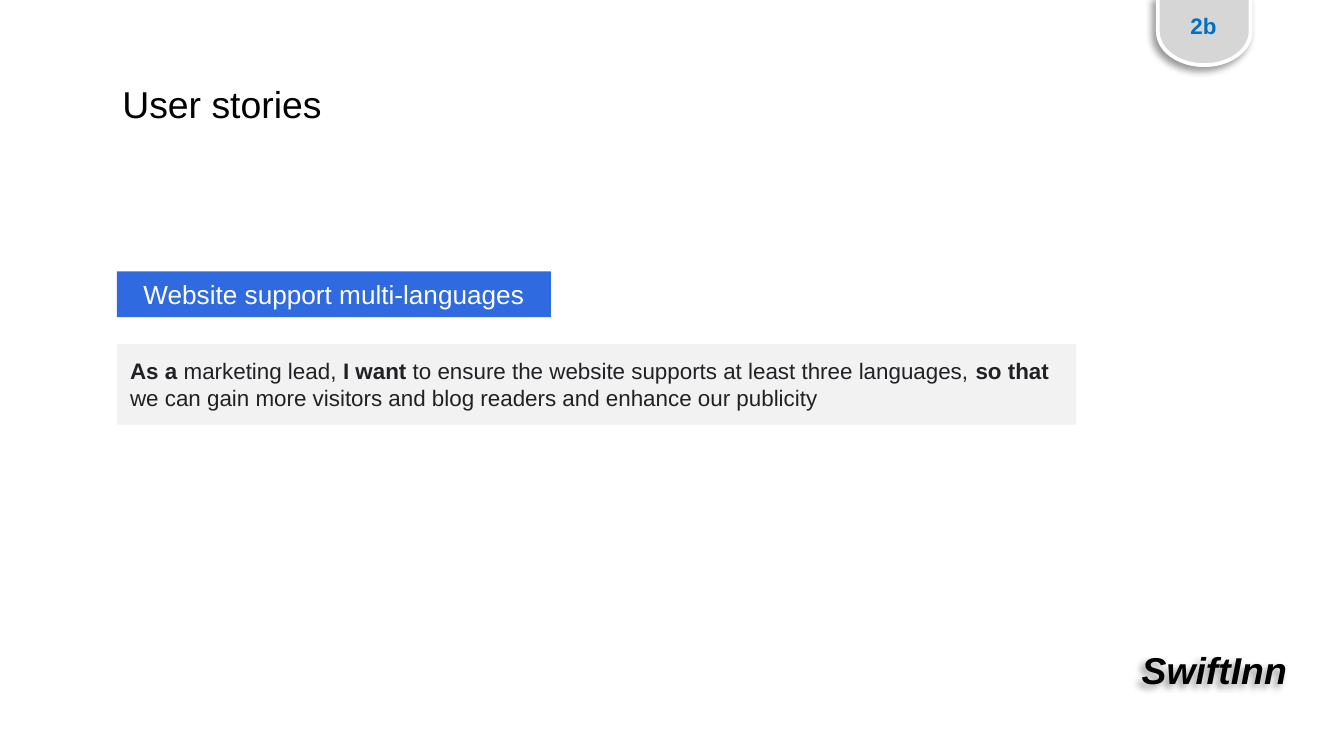
from dataclasses import dataclass
from typing import Optional

from lxml import etree
from pptx import Presentation
from pptx.dml.color import RGBColor
from pptx.enum import shapes, text
from pptx.oxml.ns import qn
from pptx.util import Inches, Pt


@dataclass(frozen=True)
class Theme:
    font: str = "Arial"
    black: str = "000000"
    white: str = "FFFFFF"
    ink: str = "202124"
    panel: str = "F2F2F2"
    accent: str = "2F6AE1"
    tab: str = "D6D6D6"
    number: str = "0070C0"
    large: int = 20
    medium: int = 14
    small: int = 12


THEME = Theme()


@dataclass(frozen=True)
class Run:
    words: str
    bold: bool = False
    italic: bool = False


@dataclass(frozen=True)
class Block:
    box: tuple[float, float, float, float]
    runs: list[Run]
    size: int
    color: str
    fill: Optional[str] = None
    centered: bool = True
    inset: float = 0.1


def place(shape, box: tuple[float, float, float, float]) -> None:
    for side, length in zip(("left", "top", "width", "height"), box):
        setattr(shape, side, Inches(length))


def paint(shape, color: str) -> None:
    shape.fill.solid()
    shape.fill.fore_color.rgb = RGBColor.from_string(color)


def write(shape, block: Block) -> None:
    """Fill the shape's text frame with the block's runs."""
    frame = shape.text_frame
    frame_format = {
        "word_wrap": True,
        "auto_size": text.MSO_AUTO_SIZE.NONE,
        "vertical_anchor": text.MSO_ANCHOR.MIDDLE,
        "margin_left": Inches(0.1),
        "margin_right": Inches(0.1),
        "margin_top": Inches(block.inset),
        "margin_bottom": Inches(block.inset),
    }
    for name, value in frame_format.items():
        setattr(frame, name, value)
    line = frame.paragraphs[0]
    line.alignment = text.PP_ALIGN.CENTER if block.centered else text.PP_ALIGN.LEFT
    for part in block.runs:
        run = line.add_run()
        run.text = part.words
        font_format = {
            "name": THEME.font,
            "size": Pt(block.size),
            "bold": part.bold,
            "italic": part.italic,
        }
        for name, value in font_format.items():
            setattr(run.font, name, value)
        run.font.color.rgb = RGBColor.from_string(block.color)


def draw_block(parent, block: Block):
    """Draw a filled rectangle, or a text box when there is no fill."""
    box = [Inches(length) for length in block.box]
    if block.fill:
        shape = parent.add_shape(shapes.MSO_SHAPE.RECTANGLE, *box)
        shape.shadow.inherit = False
        paint(shape, block.fill)
        shape.line.fill.background()
    else:
        shape = parent.add_textbox(*box)
    write(shape, block)
    return shape


def cast_shadow(shape) -> None:
    """Add a soft shadow towards the lower left."""
    shape.shadow.inherit = False
    effects = shape._element.spPr.find(qn("a:effectLst"))
    shadow = etree.SubElement(
        effects, qn("a:outerShdw"), blurRad=str(Pt(4)), dist=str(Pt(3)),
        dir=str(135 * 60000), algn="tr", rotWithShape="0")
    color = etree.SubElement(shadow, qn("a:srgbClr"), val=THEME.black)
    etree.SubElement(color, qn("a:alpha"), val="40000")


def main() -> None:
    deck = Presentation()
    deck.slide_width = Inches(10)
    deck.slide_height = Inches(10 * 9 / 16)
    slide = deck.slides.add_slide(deck.slide_layouts[5])

    # Title
    heading = Block((0.81, 0.55, 1.7, 0.44), [Run("User stories")],
                    THEME.large, THEME.black, centered=False, inset=0.05)
    place(slide.shapes.title, heading.box)
    write(slide.shapes.title, heading)

    # Feature name and its user story
    feature = Block((0.87, 2.02, 3.23, 0.34), [Run("Website support multi-languages")],
                    THEME.medium, THEME.white, fill=THEME.accent, inset=0.05)
    story = Block((0.87, 2.56, 7.14, 0.6), [
        Run("As a ", bold=True),
        Run("marketing lead, "),
        Run("I want ", bold=True),
        Run("to ensure the website supports at least three languages, "),
        Run("so that ", bold=True),
        Run("we can gain more visitors and blog readers and enhance our publicity"),
    ], THEME.small, THEME.ink, fill=THEME.panel, centered=False)
    for block in (feature, story):
        draw_block(slide.shapes, block)

    # Numbered tab hanging from the top edge
    tab = slide.shapes.add_group_shape().shapes
    flap = tab.add_shape(shapes.MSO_SHAPE.FLOWCHART_DELAY, Inches(8.71),
                         Inches(-0.11), Inches(0.5), Inches(0.69))
    flap.rotation = 90
    paint(flap, THEME.tab)
    flap.line.color.rgb = RGBColor.from_string(THEME.white)
    flap.line.width = Pt(2)
    cast_shadow(flap)
    draw_block(tab, Block((8.71, -0.01, 0.49, 0.4), [Run("2b", bold=True)],
                          THEME.small, THEME.number))

    # Product name
    product = draw_block(slide.shapes, Block(
        (8.29, 4.71, 1.49, 0.54), [Run("SwiftInn", bold=True, italic=True)],
        THEME.large, THEME.black))
    cast_shadow(product)

    deck.save("out.pptx")


if __name__ == "__main__":
    main()
